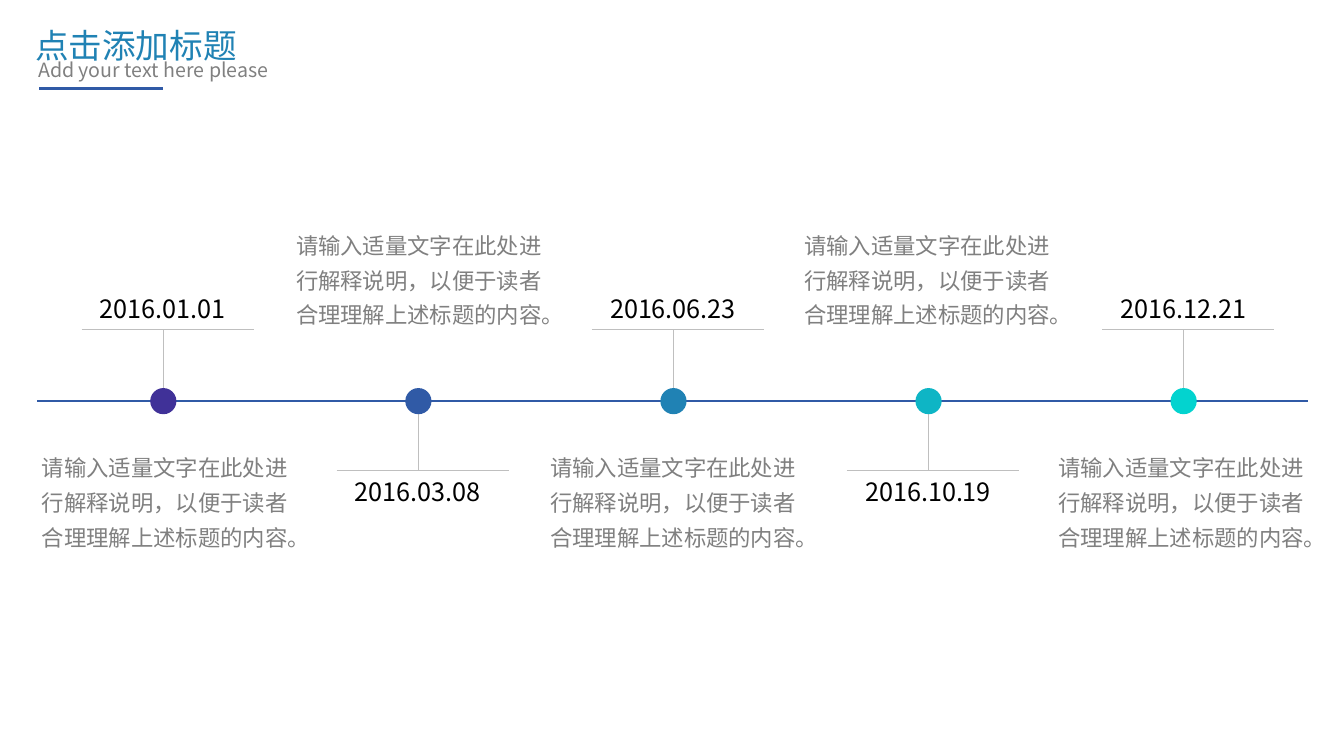
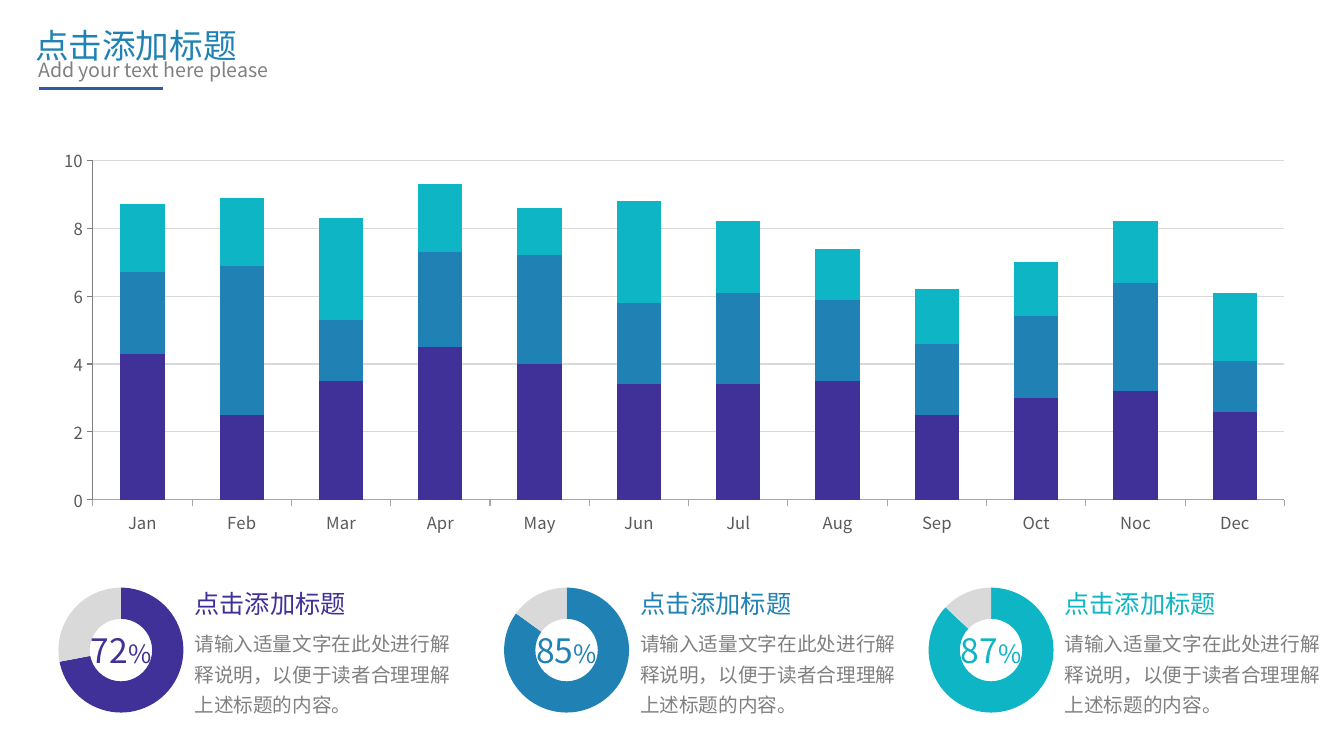
from lxml import etree
from pptx import Presentation
from pptx.chart.data import CategoryChartData
from pptx.dml.color import RGBColor
from pptx.enum.chart import XL_CHART_TYPE, XL_TICK_MARK
from pptx.enum.shapes import MSO_CONNECTOR, MSO_SHAPE
from pptx.enum.text import MSO_AUTO_SIZE, PP_ALIGN
from pptx.oxml.ns import qn
from pptx.util import Pt

EMU_PER_PX = 9144  # 100 px to the inch
FONT = "Noto Sans CJK SC"
COLORS = {
    "violet": "403198", "navy": "305AA6", "blue": "2082B4",
    "teal": "0EB5C5", "aqua": "03D3CF", "black": "000000",
    "body": "808080", "label": "595959", "axis": "A6A6A6",
    "stem": "BFBFBF", "grid": "D9D9D9",
}
TITLE = "点击添加标题"
SUBTITLE = "Add your text here please"
BODY = "请输入适量文字在此处进行解释说明，以便于读者合理理解上述标题的内容。"


def px(*lengths):
    return [length * EMU_PER_PX for length in lengths]


def rgb(color):
    return RGBColor.from_string(COLORS[color])


class Deck:
    def __init__(self):
        self.prs = Presentation()
        self.prs.slide_width, self.prs.slide_height = px(1333, 750)
        self.shapes = None

    def new_slide(self):
        """Add a blank slide with the shared title block."""
        self.shapes = self.prs.slides.add_slide(self.prs.slide_layouts[6]).shapes
        self.line(39, 88, 162, 88, color="navy", width=2)
        self.text(TITLE, 25, 20, 238, 50, size=24, color="blue")
        self.text(SUBTITLE, 28, 53, 268, 34, size=14)

    def text(self, content, left, top, width, height, size=16, color="body",
             align=PP_ALIGN.LEFT, spacing=None, unit="", unit_size=18):
        """Write content, with an optional unit after it in its own size."""
        frame = self.shapes.add_textbox(*px(left, top, width, height)).text_frame
        frame.word_wrap = True
        frame.auto_size = MSO_AUTO_SIZE.SHAPE_TO_FIT_TEXT
        paragraph = frame.paragraphs[0]
        paragraph.alignment = align
        if spacing:
            paragraph.line_spacing = spacing
        for words, points in ((content, size), (unit, unit_size)):
            if not words:
                continue
            run = paragraph.add_run()
            run.text = words
            run.font.size = Pt(points)
            run.font.color.rgb = rgb(color)
            run.font.name = FONT
            etree.SubElement(run.font._element, qn("a:ea"), typeface=FONT)

    def line(self, x1, y1, x2, y2, color="stem", width=0.5):
        connector = self.shapes.add_connector(MSO_CONNECTOR.STRAIGHT, *px(x1, y1, x2, y2))
        connector.line.color.rgb = rgb(color)
        connector.line.width = Pt(width)
        etree.SubElement(connector._element.spPr, qn("a:effectLst"))

    def dot(self, center_x, center_y, diameter, color):
        radius = diameter // 2
        dot = self.shapes.add_shape(MSO_SHAPE.OVAL, *px(
            center_x - radius, center_y - radius, diameter, diameter))
        dot.shadow.inherit = False
        dot.fill.solid()
        dot.fill.fore_color.rgb = rgb(color)
        dot.line.fill.background()

    def chart(self, kind, frame, plot_box, categories, series):
        """Add a chart whose inner plot area fills plot_box on the slide."""
        data = CategoryChartData()
        data.categories = categories
        for name, values in series:
            data.add_series(name, values)
        chart = self.shapes.add_chart(kind, *px(*frame), data).chart
        chart.has_legend = chart.has_title = False
        chart.font.size = Pt(10)
        chart.font.name = FONT
        chart.font.color.rgb = rgb("black")

        left, top, width, height = frame
        plot_left, plot_top, plot_width, plot_height = plot_box
        area = chart.element.find(".//" + qn("c:plotArea"))
        for old_layout in area.findall(qn("c:layout")):
            area.remove(old_layout)
        layout = etree.Element(qn("c:layout"))
        area.insert(0, layout)
        manual = etree.SubElement(layout, qn("c:manualLayout"))
        for tag, value in (
            ("layoutTarget", "inner"), ("xMode", "edge"), ("yMode", "edge"),
            ("x", (plot_left - left) / width), ("y", (plot_top - top) / height),
            ("w", plot_width / width), ("h", plot_height / height),
        ):
            etree.SubElement(manual, qn("c:" + tag), val=str(value))
        return chart

    def stacked_columns(self, frame, plot_box, categories, series, colors):
        chart = self.chart(XL_CHART_TYPE.COLUMN_STACKED, frame, plot_box, categories, series)
        plot = chart.plots[0]
        plot.gap_width, plot.overlap = 124, 100
        plot.vary_by_categories = False
        for column, color in zip(plot.series, colors):
            column.format.fill.solid()
            column.format.fill.fore_color.rgb = rgb(color)
        for axis, color in ((chart.category_axis, "axis"), (chart.value_axis, "body")):
            axis.major_tick_mark = XL_TICK_MARK.OUTSIDE
            axis.minor_tick_mark = XL_TICK_MARK.NONE
            axis.format.line.color.rgb = rgb(color)
            axis.format.line.width = Pt(0.75)
            labels = axis.tick_labels.font
            labels.size, labels.name = Pt(11.9), FONT
            labels.color.rgb = rgb("label")
        values = chart.value_axis
        values.minimum_scale, values.maximum_scale, values.major_unit = 0, 10, 2
        values.has_major_gridlines = True
        grid = values.major_gridlines.format.line
        grid.color.rgb = rgb("grid")
        grid.width = Pt(0.75)

    def doughnut(self, frame, plot_box, percent, color):
        chart = self.chart(XL_CHART_TYPE.DOUGHNUT, frame, plot_box, ["1", "2"],
                           [("Series 1", (percent, 100 - percent))])
        chart.element.find(".//" + qn("c:holeSize")).set("val", "90")
        for index, part_color in enumerate((color, "grid")):
            part = chart.plots[0].series[0].points[index].format
            part.fill.solid()
            part.fill.fore_color.rgb = rgb(part_color)
            part.line.fill.background()


def timeline_slide(deck):
    deck.new_slide()
    axis_y = 398
    deck.line(37, axis_y, 1297, axis_y, color="navy", width=1.5)
    milestones = [
        ("2016.01.01", "violet"), ("2016.03.08", "navy"), ("2016.06.23", "blue"),
        ("2016.10.19", "teal"), ("2016.12.21", "aqua"),
    ]
    for index, (date, color) in enumerate(milestones):
        center = 162 + 253 * index
        date_above = index % 2 == 0
        rule_y, date_y, body_y = (327, 286, 438) if date_above else (467, 468, 217)
        deck.line(center, rule_y, center, axis_y)
        deck.line(center - 81, rule_y, center + 90, rule_y)
        deck.dot(center, axis_y, 26, color)
        deck.text(date, center - 88, date_y, 175, 40, size=18, color="black",
                  align=PP_ALIGN.CENTER)
        deck.text(BODY, 28 + 252 * index, body_y, 271, 112,
                  align=PP_ALIGN.CENTER, spacing=1.3)


def chart_slide(deck):
    deck.new_slide()
    colors = ("violet", "blue", "teal")
    months = ["Jan", "Feb", "Mar", "Apr", "May", "Jun",
              "Jul", "Aug", "Sep", "Oct", "Noc", "Dec"]
    series = [
        ("Series 1", (4.3, 2.5, 3.5, 4.5, 4, 3.4, 3.4, 3.5, 2.5, 3, 3.2, 2.6)),
        ("Series 2", (2.4, 4.4, 1.8, 2.8, 3.2, 2.4, 2.7, 2.4, 2.1, 2.4, 3.2, 1.5)),
        ("Series 3", (2, 2, 3, 2, 1.4, 3, 2.1, 1.5, 1.6, 1.6, 1.8, 2)),
    ]
    deck.stacked_columns((39, 139, 1260, 400), (92, 159, 1182, 337), months, series, colors)

    top = 569
    for left, percent, color in zip((6, 448, 869), (72, 85, 87), colors):
        deck.doughnut((left, top, 228, 152), (left + 52, top + 14, 124, 124), percent, color)
        deck.text(str(percent), left + 63, top + 51, 102, 51, size=24, color=color,
                  align=PP_ALIGN.CENTER, unit="%")
        deck.text(TITLE, left + 177, top + 10, 222, 40, size=18, color=color)
        deck.text(BODY, left + 177, top + 46, 275, 102, size=14, spacing=1.3)


def main():
    deck = Deck()
    timeline_slide(deck)
    chart_slide(deck)
    deck.prs.save("out.pptx")


if __name__ == "__main__":
    main()
